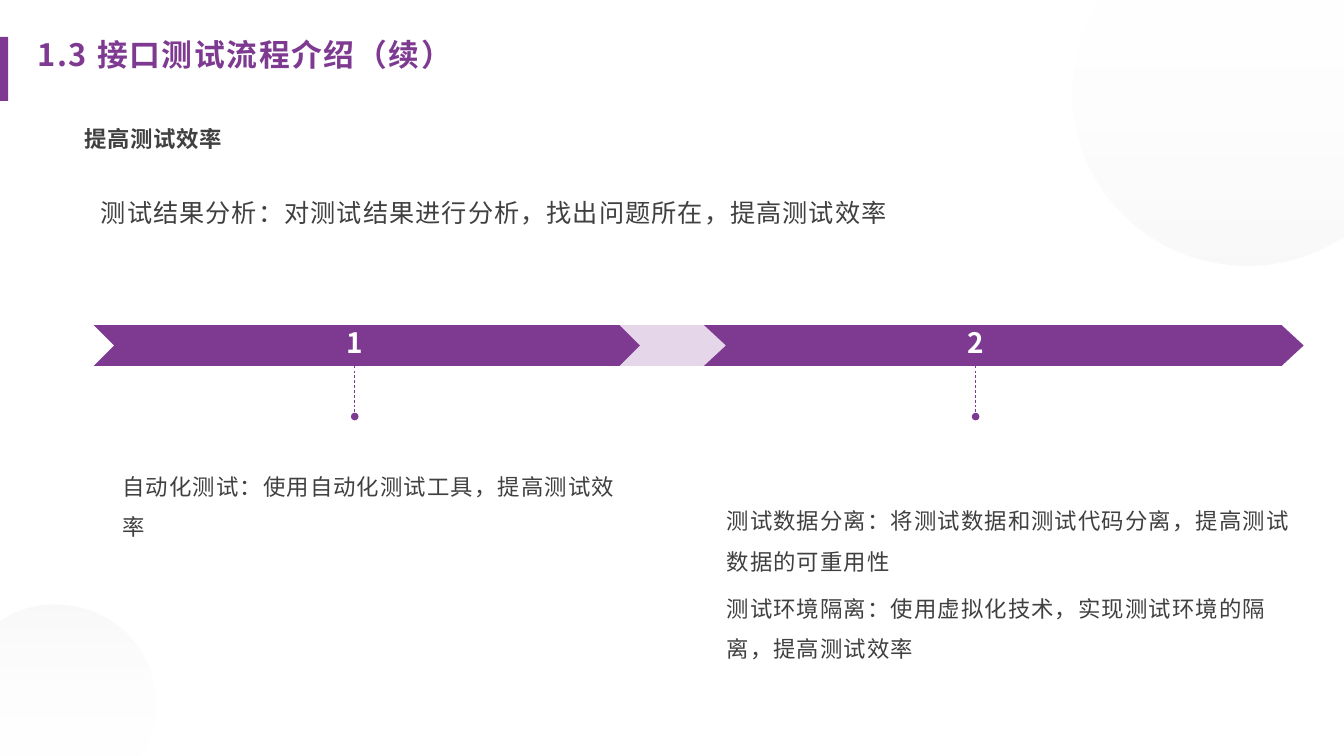
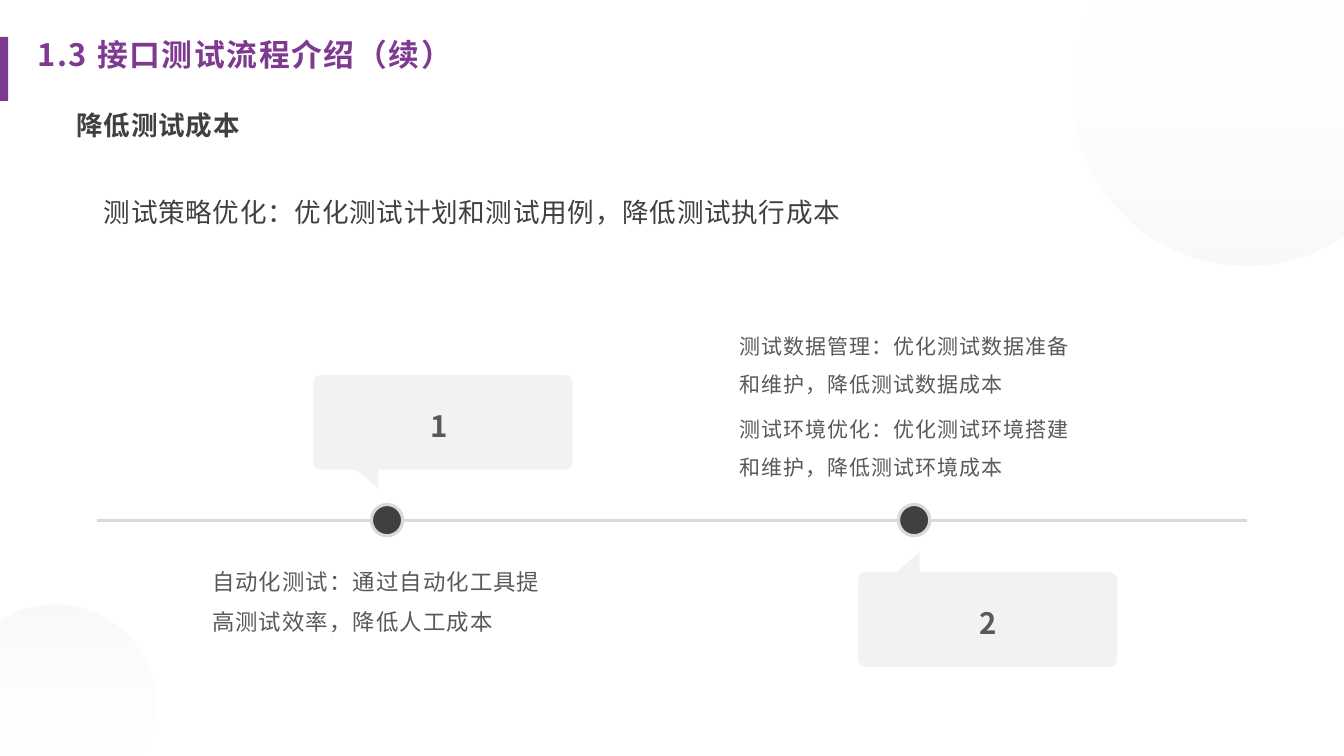
from lxml.etree import SubElement
from pptx import Presentation
from pptx.dml.color import RGBColor
from pptx.enum.dml import MSO_LINE as Dash
from pptx.enum.shapes import MSO_CONNECTOR as Link, MSO_SHAPE as Kind
from pptx.enum.text import MSO_ANCHOR as Anchor, MSO_AUTO_SIZE as Fit, PP_ALIGN as Align
from pptx.oxml.ns import qn
from pptx.util import Inches, Pt

FACE = "Noto Sans CJK SC"
PURPLE = RGBColor(0x7E, 0x3A, 0x91)
WHITE = RGBColor(0xFF, 0xFF, 0xFF)
SILVER = RGBColor(0xE6, 0xE6, 0xE6)
PALE = RGBColor(0xF2, 0xF2, 0xF2)
RAIL = RGBColor(0xD9, 0xD9, 0xD9)
DARK = RGBColor(0x40, 0x40, 0x40)
GRAY = RGBColor(0x59, 0x59, 0x59)

# Grid of one-inch columns and rows
CELL = Inches(1)
WIDE, HIGH = 26.67, 15
TITLE = "1.3 接口测试流程介绍（续）"
TITLE_BOX = (0.74, 0.41, 11.18, 1.27)
MARK_BOX = (0, 0.73, 0.16, 1.27)
# Corner discs: gradient angle, then lines (x, y) and curves (two handles, end)
DISCS = [
    (270, [(21.83, 0), (WIDE, 0), (WIDE, 4.68), (26.39, 4.84),
           (25.9, 5.11, 25.34, 5.26, 24.74, 5.26),
           (22.83, 5.26, 21.28, 3.73, 21.28, 1.85),
           (21.28, 1.26, 21.43, 0.71, 21.69, 0.22)]),
    (90, [(2.77, HIGH), (0, HIGH), (0, 12.32), (0.16, 12.22),
          (0.44, 12.07, 0.76, 11.99, 1.1, 11.99),
          (2.2, 11.99, 3.09, 12.86, 3.09, 13.94),
          (3.09, 14.28, 3, 14.6, 2.85, 14.87)]),
]

FLAT = (0, 0, 0, 0)
LEAD = (0.14, 0.06, 0.14, 0.06)
BODY = (0.1, 0, 0.1, 0.05)
PLAIN = (0.1, 0.05, 0.1, 0.05)

SPEED = {
    "head": ("提高测试效率", (1.68, 2.15, 6.65, 1.18), 32, 0.9),
    "lead": ("测试结果分析：对测试结果进行分析，找出问题所在，提高测试效率",
             (1.86, 2.67, 22.95, 2.97), 36, 1.5),
    "steps": [
        {"arrow": (1.86, 10.84), "tip": 0.5, "stem": 7.04,
         "box": (2.33, 9.12, 10.06, 4.53),
         "text": ["自动化测试：使用自动化测试工具，提高测试效率"]},
        {"arrow": (13.97, 11.9), "tip": 0.54, "stem": 19.36,
         "box": (14.32, 9.8, 11.54, 4.53),
         "text": ["测试数据分离：将测试数据和测试代码分离，提高测试数据的可重用性",
                  "测试环境隔离：使用虚拟化技术，实现测试环境的隔离，提高测试效率"]},
    ],
}
COST = {
    "head": ("降低测试成本", (1.52, 1.83, 6.72, 1.3), 38, 1),
    "lead": ("测试策略优化：优化测试计划和测试用例，降低测试执行成本",
             (1.92, 2.67, 22.82, 2.95), 38, 1),
    "steps": [
        {"dot": 7.68, "card": (6.22, 7.44), "num": 6.48,
         "tail": (7.05, 9.3), "turn": 180, "skew": 0,
         "box": (4.11, 10.95, 7.14, 3.39), "size": 32,
         "text": ["自动化测试：通过自动化工具提高测试效率，降低人工成本"]},
        {"dot": 18.14, "card": (17.03, 11.35), "num": 17.37,
         "tail": (17.79, 10.95), "turn": 0, "skew": 1,
         "box": (14.57, 6.32, 7.14, 3.39), "size": 30,
         "text": ["测试数据管理：优化测试数据准备和维护，降低测试数据成本",
                  "测试环境优化：优化测试环境搭建和维护，降低测试环境成本"]},
    ],
}
BAND_TOP, BAND_HIGH = 6.45, 0.81
STEM_TOP, STEM_END, BEAD = 7.16, 8.19, 0.15
RAIL_Y, DOT = 10.32, 0.62


def grid(*cells):
    return [int(CELL * n) for n in cells]


def fade(item, *shares):
    """Set the opacity, in percent, of each fill colour in turn."""
    for color, share in zip(item._element.spPr.iter(qn("a:srgbClr")), shares):
        SubElement(color, qn("a:alpha")).set("val", str(share * 1000))


def write(item, lines, size, color, bold=False, track=1.5, lead=None, before=0,
          after=0, align=Align.LEFT, anchor=Anchor.TOP, inset=PLAIN):
    frame = item.text_frame
    frame.text = "\n".join(lines)
    frame.word_wrap = True
    frame.auto_size = Fit.NONE
    frame.vertical_anchor = anchor
    (frame.margin_left, frame.margin_top,
     frame.margin_right, frame.margin_bottom) = grid(*inset)
    for i, para in enumerate(frame.paragraphs):
        para.alignment = align
        para.line_spacing = lead
        para.space_before = Pt(before if i else 0)
        para.space_after = Pt(after)
        para._p.get_or_add_pPr().set("hangingPunct", "0")
        font = para.font
        font.name, font.size, font.bold = FACE, Pt(size), bold
        font.color.rgb = color
        props = font._element
        props.set("spc", str(round(track * 100)))
        SubElement(props, qn("a:ea")).set("typeface", FACE)


def label(slide, box, lines, size, color, **style):
    write(slide.shapes.add_textbox(*grid(*box)), lines, size, color, **style)


def block(slide, kind, box, color, adjust=None):
    item = slide.shapes.add_shape(kind, *grid(*box))
    item.shadow.inherit = False
    item.fill.solid()
    item.fill.fore_color.rgb = color
    item.line.fill.background()
    if adjust is not None:
        item.adjustments[0] = adjust
    return item


def rule(slide, start, end, color, width):
    line = slide.shapes.add_connector(Link.STRAIGHT, *grid(*start, *end))
    line.line.color.rgb = color
    line.line.width = Pt(width)
    SubElement(line._element.spPr, qn("a:effectLst"))
    return line


def bend(item, edges):
    """Turn the straight edges that have handles into curves."""
    lines = list(item._element.spPr.iter(qn("a:lnTo")))
    for line, edge in zip(lines, edges):
        if len(edge) == 2:
            continue
        line.tag = qn("a:cubicBezTo")
        for i in (0, 1):
            x, y = grid(*edge[2 * i:2 * i + 2])
            spot = SubElement(line, qn("a:pt"))
            spot.set("x", str(x - item.left))
            spot.set("y", str(y - item.top))
            line.insert(i, spot)


def disc(slide, angle, edges):
    """Draw a pale disc cut off at the slide's edges."""
    knots = [grid(*edge[-2:]) for edge in edges]
    pen = slide.shapes.build_freeform(*knots[0])
    pen.add_line_segments(knots[1:])
    item = pen.convert_to_shape()
    bend(item, edges[1:])
    item.shadow.inherit = False
    item.line.fill.background()
    item.fill.gradient()
    item.fill.gradient_angle = angle
    for stop, color in zip(item.fill.gradient_stops, (WHITE, SILVER)):
        stop.color.rgb = color
    fade(item, 10, 24)


def start(deck, page):
    slide = deck.slides.add_slide(deck.slide_layouts[5])
    for angle, edges in DISCS:
        disc(slide, angle, edges)
    title = slide.shapes.title
    title.left, title.top, title.width, title.height = grid(*TITLE_BOX)
    write(title, [TITLE], 44, PURPLE, bold=True, track=2.3, lead=1.1,
          anchor=Anchor.MIDDLE, inset=FLAT)
    block(slide, Kind.RECTANGLE, MARK_BOX, PURPLE)
    text, box, size, track = page["head"]
    label(slide, box, [text], size, DARK, bold=True, track=track,
          anchor=Anchor.MIDDLE, inset=FLAT)
    text, box, size, track = page["lead"]
    label(slide, box, [text], size, DARK, track=track, lead=1.2, after=8,
          anchor=Anchor.MIDDLE, inset=LEAD)
    return slide


def speed(deck):
    slide = start(deck, SPEED)
    band = block(slide, Kind.RECTANGLE, (5.68, BAND_TOP, 14.98, BAND_HIGH), PURPLE)
    fade(band, 20)
    for num, step in enumerate(SPEED["steps"], 1):
        left, width = step["arrow"]
        x = step["stem"]
        block(slide, Kind.CHEVRON, (left, BAND_TOP, width, BAND_HIGH), PURPLE,
              step["tip"])
        bead = block(slide, Kind.OVAL, (x - BEAD / 2, STEM_END, BEAD, BEAD), PURPLE)
        stem = rule(slide, (x, STEM_TOP), (x, STEM_END), PURPLE, 1)
        stem.line.dash_style = Dash.DASH
        stem.end_connect(bead, 0)
        label(slide, (x - 0.38, 6.4, 0.75, 0.92), [str(num)], 40, WHITE,
              bold=True, track=3, align=Align.CENTER)
        label(slide, step["box"], step["text"], 32, DARK, lead=1.5, before=10,
              inset=BODY)


def cost(deck):
    slide = start(deck, COST)
    rule(slide, (1.92, RAIL_Y), (24.74, RAIL_Y), RAIL, 4.5)
    for num, step in enumerate(COST["steps"], 1):
        dot = block(slide, Kind.OVAL,
                    (step["dot"] - DOT / 2, RAIL_Y - DOT / 2, DOT, DOT), DARK)
        dot.line.color.rgb = RAIL
        dot.line.width = Pt(4.5)
        block(slide, Kind.ROUNDED_RECTANGLE, (*step["card"], 5.14, 1.88), PALE, 0.08)
        tail = block(slide, Kind.ISOSCELES_TRIANGLE, (*step["tail"], 0.46, 0.4),
                     PALE, step["skew"])
        tail.rotation = step["turn"]
        label(slide, (step["num"], step["card"][1] + 0.33, 4.46, 1.22), [str(num)],
              42, GRAY, bold=True, track=3, lead=1.2, align=Align.CENTER,
              anchor=Anchor.MIDDLE)
        label(slide, step["box"], step["text"], step["size"], GRAY, lead=1.5,
              before=10)


def main():
    deck = Presentation()
    deck.slide_width, deck.slide_height = grid(WIDE, HIGH)
    speed(deck)
    cost(deck)
    deck.save("out.pptx")


if __name__ == "__main__":
    main()
